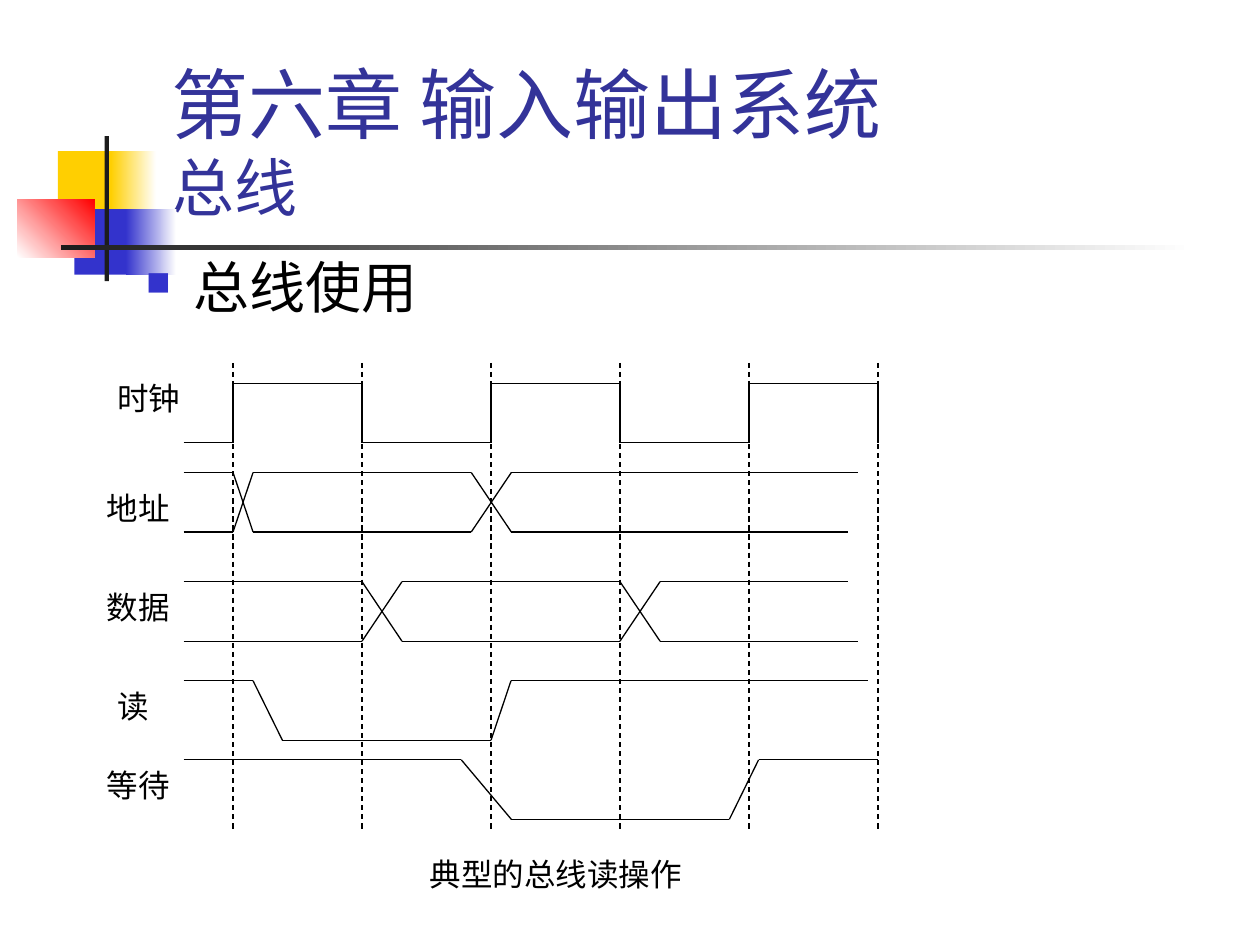
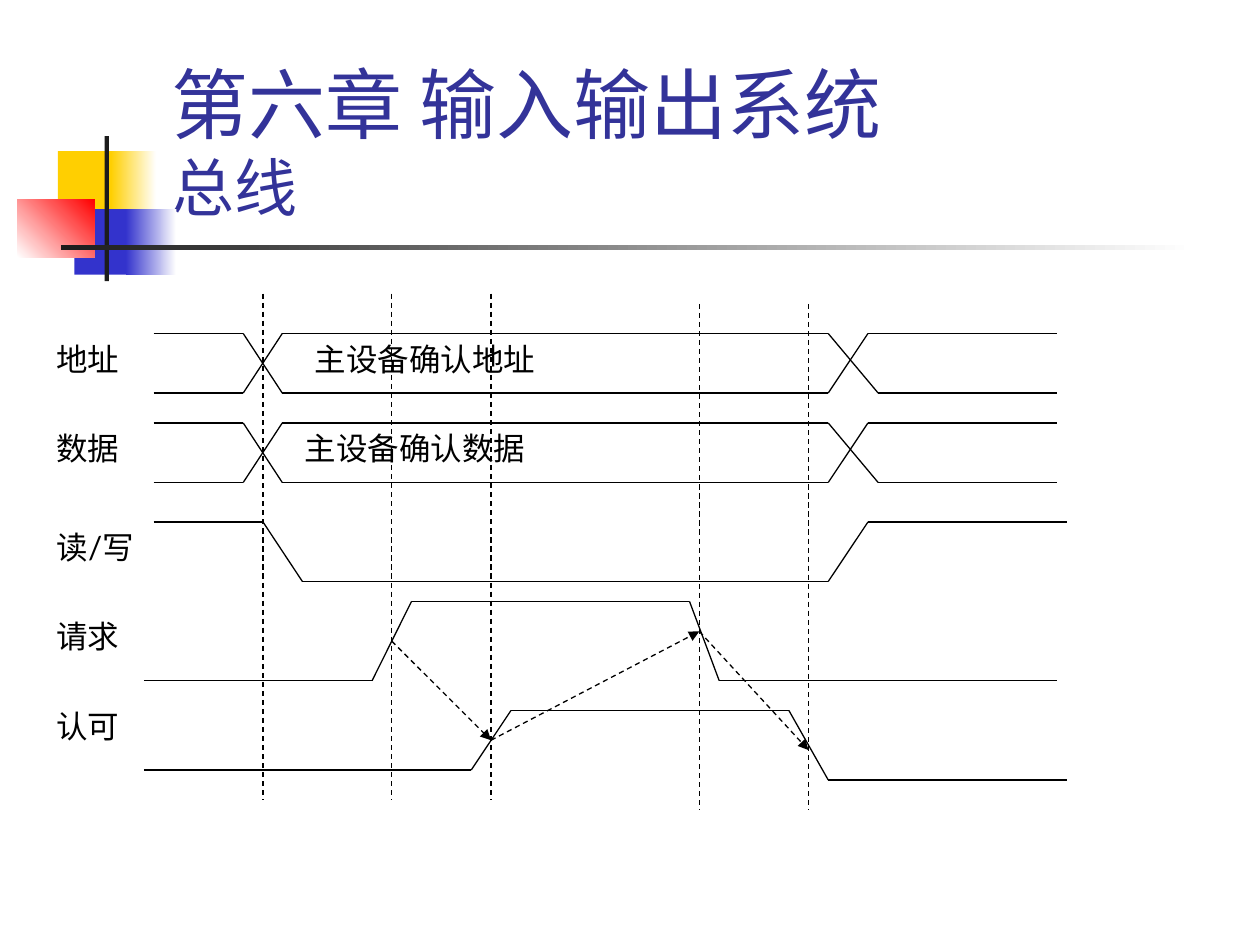
from itertools import pairwise

from lxml.etree import SubElement
from pptx import Presentation
from pptx.dml.color import RGBColor
from pptx.enum.dml import MSO_LINE
from pptx.enum.shapes import MSO_CONNECTOR, MSO_SHAPE
from pptx.enum.text import MSO_ANCHOR, MSO_AUTO_SIZE, PP_ALIGN
from pptx.oxml.ns import qn
from pptx.util import Pt

FONT = "Lato"
BLACK = RGBColor(0x00, 0x00, 0x00)
WHITE = RGBColor(0xFF, 0xFF, 0xFF)
YELLOW = RGBColor(0xFF, 0xCF, 0x01)
BLUE = RGBColor(0x33, 0x33, 0xCC)
RED = RGBColor(0xFF, 0x00, 0x00)
CHARCOAL = RGBColor(0x1C, 0x1C, 0x1C)
TITLE_BLUE = RGBColor(0x33, 0x33, 0x99)

TITLE_LINES = [("第六章 输入输出系统", 44), ("总线", 36)]
TITLE_BOX = (90.7, 16.6, 613.4, 115.2)

# Box, colours (one is solid, two are a gradient), gradient angle
BAND = [
    ((33.1, 86.4, 34.6, 37.4), [YELLOW], 0),
    ((63.4, 86.4, 25.9, 37.4), [YELLOW, WHITE], 0),
    ((42.5, 119.5, 33.1, 37.4), [BLUE], 0),
    ((72, 119.5, 28.8, 37.4), [BLUE, WHITE], 0),
    ((10, 113.8, 44, 33.1), [WHITE, RED], 45),
    ((59.8, 77.8, 2.4, 82.8), [CHARCOAL], 0),
    ((34.6, 140.1, 648, 2.6), [CHARCOAL, WHITE], 0),
]

SWING = 34
LABEL_HEIGHT = 28.8
LEFT, CENTER, RIGHT = PP_ALIGN.LEFT, PP_ALIGN.CENTER, PP_ALIGN.RIGHT

READ_HEADING = "总线使用"
READ_HEADING_BOX = (76.3, 145.4, 612, 45.4)
CLOCK_EDGES = [133.2 + 73.7 * period for period in range(6)]
CLOCK_HIGH, READ_HIGH, WAIT_HIGH = 219, 389, 434.2
SIGNAL_START = 105

# Text, left, top, width, alignment
READ_LABELS = [
    ("时钟", 31, 213.1, 79.2, RIGHT),
    ("地址", 54, 275.8, 73.4, LEFT),
    ("数据", 54, 332.6, 73.4, LEFT),
    ("读", 59.8, 388.8, 67.7, LEFT),
    ("等待", 54, 434.2, 67.7, LEFT),
    ("典型的总线读操作", 127.4, 485.3, 380.2, CENTER),
]

# High level, start, crossings (left, right of falling line, right of rising line),
# ends of the high and the low line
READ_BUSES = [
    (270, SIGNAL_START, [(CLOCK_EDGES[0], 144.6, 144.6), (269.3, 292.2, 292.2)], (490.3, 484.6)),
    (332.4, SIGNAL_START, [(CLOCK_EDGES[1], 229.7, 229.7), (CLOCK_EDGES[3], 377.2, 377.2)],
     (484.6, 490.3)),
]
READ_TRACES = [
    [(SIGNAL_START, READ_HIGH), (144.6, READ_HIGH), (161.4, READ_HIGH + SWING),
     (CLOCK_EDGES[2], READ_HIGH + SWING), (292, READ_HIGH), (496, READ_HIGH)],
    [(SIGNAL_START, WAIT_HIGH), (263.6, WAIT_HIGH), (292.2, WAIT_HIGH + SWING),
     (416.8, WAIT_HIGH + SWING), (433.5, WAIT_HIGH), (CLOCK_EDGES[5], WAIT_HIGH)],
]

HANDSHAKE_LABELS = [
    ("地址", 25.2, 190.8, 67.7, LEFT),
    ("数据", 25.2, 241.9, 79.2, LEFT),
    ("读/写", 25.2, 298.1, 85, LEFT),
    ("请求", 25.2, 349.2, 79.2, LEFT),
    ("认可", 25.2, 400.3, 79.2, LEFT),
    ("主设备确认地址", 172.8, 190.8, 226.8, LEFT),
    ("主设备确认数据", 167, 241.9, 226.8, LEFT),
]
HANDSHAKE_CROSSINGS = [(139, 161.3, 161.3), (473.3, 501.8, 496)]
HANDSHAKE_BUSES = [(high, 87.8, HANDSHAKE_CROSSINGS, (604, 604)) for high in (190.6, 241.7)]
WRITE_HIGH = 298.3
HANDSHAKE_TRACES = [
    [(87.8, WRITE_HIGH), (150.3, WRITE_HIGH), (172.8, WRITE_HIGH + SWING),
     (473.3, WRITE_HIGH + SWING), (496, WRITE_HIGH), (609.6, WRITE_HIGH)],
    [(82.2, 389), (212.6, 389), (235.2, 343.6), (394, 343.6), (411, 389), (604, 389)],
    [(82.2, 440), (269.3, 440), (292, 406), (450.8, 406), (473.3, 445.7), (609.6, 445.7)],
]
# Centre and top of each time mark
TIME_MARKS = [(150.3, 167.8), (223.9, 167.8), (280.6, 167.8), (399.6, 173.6), (462, 173.6)]
TIME_MARK_HEIGHT = 289.4
HANDSHAKE_STEPS = [(223.9, 366.4), (280.6, 423), (399.6, 360.8), (462, 428.6)]


def points(values):
    return [Pt(value) for value in values]


def add_run(paragraph, text, size, color):
    run = paragraph.add_run()
    run.text = text
    run.font.name, run.font.size, run.font.color.rgb = FONT, Pt(size), color


def add_text(slide, box, text, size, align=LEFT):
    text_box = slide.shapes.add_textbox(*points(box))
    frame = text_box.text_frame
    frame.word_wrap = True
    frame.auto_size = MSO_AUTO_SIZE.SHAPE_TO_FIT_TEXT
    paragraph = frame.paragraphs[0]
    paragraph.alignment = align
    add_run(paragraph, text, size, BLACK)
    return paragraph


def add_bullet(paragraph):
    properties = paragraph._p.get_or_add_pPr()
    properties.set("marL", str(Pt(27)))
    properties.set("indent", str(Pt(-27)))
    color = SubElement(properties, qn("a:buClr"))
    SubElement(color, qn("a:srgbClr"), val=str(BLUE))
    SubElement(properties, qn("a:buSzPct"), val="60000")
    SubElement(properties, qn("a:buChar"), char="■")
    paragraph.line_spacing = 0.9


def add_line(slide, start, end, dashed=False, arrow=False):
    connector = slide.shapes.add_connector(MSO_CONNECTOR.STRAIGHT, *points(start + end))
    line = connector.line
    line.color.rgb, line.width = BLACK, Pt(0.75)
    if dashed:
        line.dash_style = MSO_LINE.DASH
    if arrow:
        SubElement(line._get_or_add_ln(), qn("a:tailEnd"), type="triangle")
    SubElement(connector._element.spPr, qn("a:effectLst"))


def add_trace(slide, corners, **style):
    for start, end in pairwise(corners):
        add_line(slide, start, end, **style)


def add_bus(slide, high, start, crossings, ends):
    """Draw two mirrored traces that swap levels at each crossing."""
    levels = (high, high + SWING)
    for level in (0, 1):
        corners = [(start, levels[level])]
        for left, *rights in crossings:
            corners.append((left, levels[level]))
            corners.append((rights[level], levels[1 - level]))
            level = 1 - level
        corners.append((ends[level], levels[level]))
        add_trace(slide, corners)


def add_band(slide):
    for box, colors, angle in BAND:
        shape = slide.shapes.add_shape(MSO_SHAPE.RECTANGLE, *points(box))
        shape.shadow.inherit = False
        shape.line.fill.background()
        if len(colors) == 1:
            shape.fill.solid()
            shape.fill.fore_color.rgb = colors[0]
            continue
        shape.fill.gradient()
        shape.fill.gradient_angle = angle
        for stop, color, position in zip(shape.fill.gradient_stops, colors, (0, 1)):
            stop.color.rgb, stop.position = color, position


def add_title(slide):
    title = slide.shapes.title
    title.left, title.top, title.width, title.height = points(TITLE_BOX)
    frame = title.text_frame
    frame.auto_size = MSO_AUTO_SIZE.NONE
    frame.vertical_anchor = MSO_ANCHOR.BOTTOM
    paragraph = frame.paragraphs[0]
    paragraph.alignment = LEFT
    for index, (text, size) in enumerate(TITLE_LINES):
        if index:
            paragraph.add_line_break()
        add_run(paragraph, text, size, TITLE_BLUE)


def add_diagram_slide(presentation, labels, buses, traces):
    slide = presentation.slides.add_slide(presentation.slide_layouts[5])
    add_band(slide)
    add_title(slide)
    for bus in buses:
        add_bus(slide, *bus)
    for corners in traces:
        add_trace(slide, corners)
    for text, left, top, width, align in labels:
        add_text(slide, (left, top, width, LABEL_HEIGHT), text, 18, align)
    return slide


def clock_trace():
    level = CLOCK_HIGH + SWING
    corners = [(SIGNAL_START, level)]
    for edge in CLOCK_EDGES:
        corners.append((edge, level))
        level = 2 * CLOCK_HIGH + SWING - level
        corners.append((edge, level))
    return corners


def add_read_slide(presentation):
    slide = add_diagram_slide(presentation, READ_LABELS, READ_BUSES,
                              [clock_trace()] + READ_TRACES)
    add_bullet(add_text(slide, READ_HEADING_BOX, READ_HEADING, 32))
    for edge in CLOCK_EDGES:
        add_line(slide, (edge, 207.4), (edge, 474.5), dashed=True)


def add_handshake_slide(presentation):
    slide = add_diagram_slide(presentation, HANDSHAKE_LABELS, HANDSHAKE_BUSES,
                              HANDSHAKE_TRACES)
    for center, top in TIME_MARKS:
        add_line(slide, (center, top), (center, top + TIME_MARK_HEIGHT), dashed=True)
    add_trace(slide, HANDSHAKE_STEPS, dashed=True, arrow=True)


def main():
    presentation = Presentation()
    presentation.slide_width, presentation.slide_height = Pt(720), Pt(540)
    add_read_slide(presentation)
    add_handshake_slide(presentation)
    presentation.save("out.pptx")


if __name__ == "__main__":
    main()
